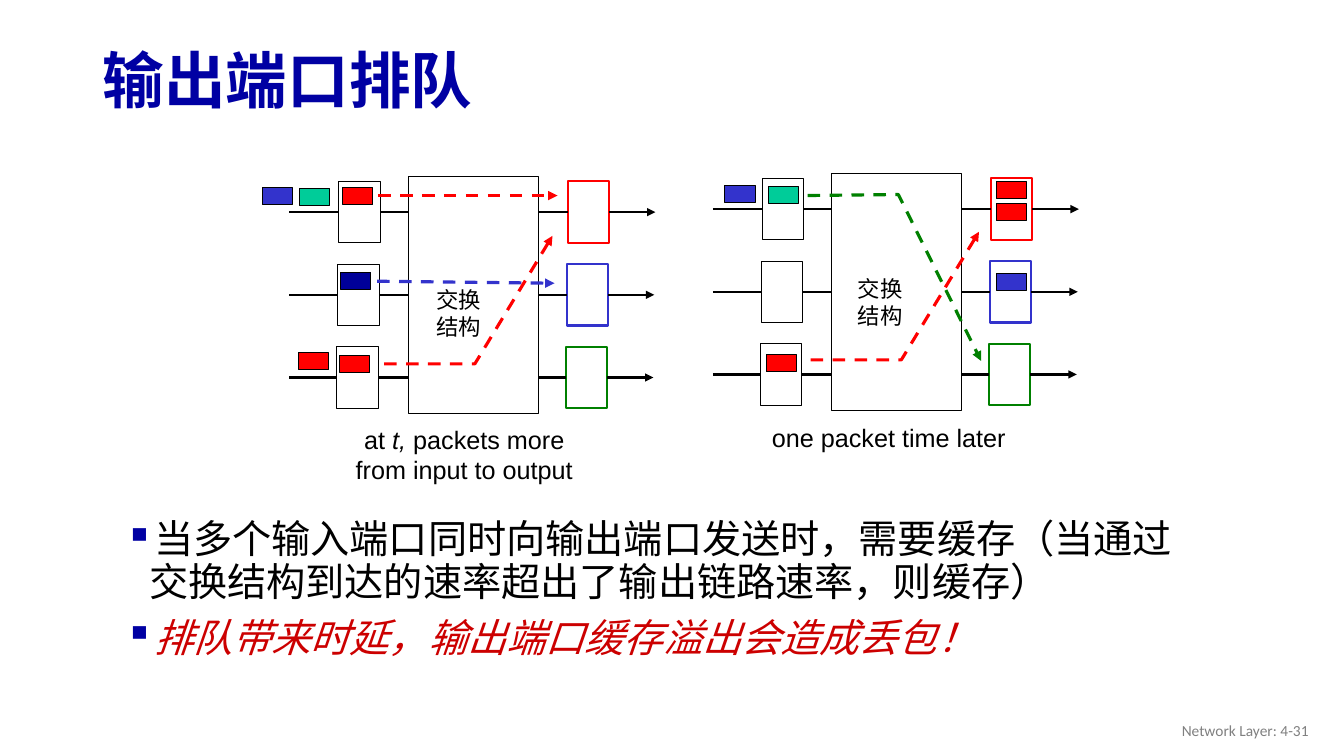
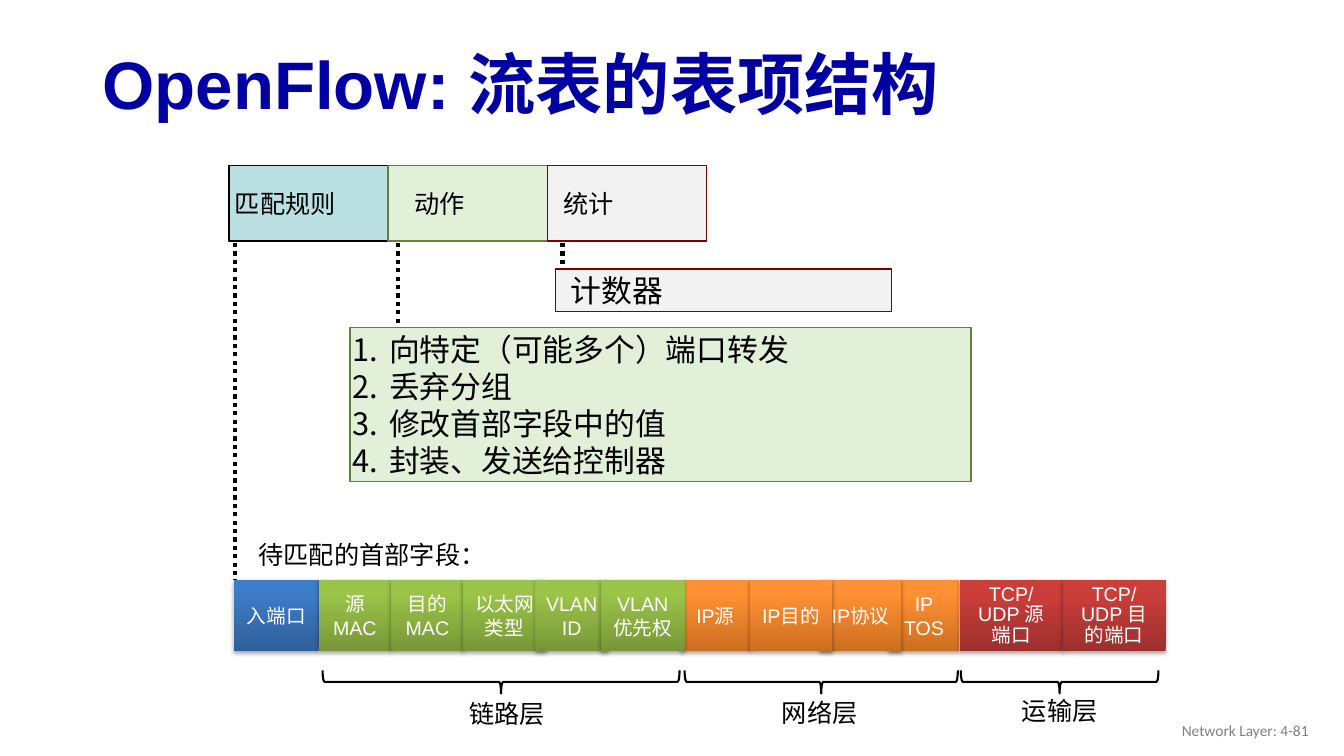
"""Build two lecture slides on output port queueing and OpenFlow entries."""
import lxml.etree
import pptx
import pptx.dml.color
import pptx.enum.dml
import pptx.enum.shapes
import pptx.enum.text
import pptx.oxml.ns
import pptx.util

Inches = pptx.util.Inches
Pt = pptx.util.Pt
SHAPE = pptx.enum.shapes.MSO_SHAPE
ALIGN = pptx.enum.text.PP_ALIGN
ANCHOR = pptx.enum.text.MSO_ANCHOR
DASH = pptx.enum.dml.MSO_LINE

COLORS = {
    "title": "0000A3", "text": "000000", "white": "FFFFFF", "footer": "808080",
    "alert": "CC0000", "red": "FF0000", "blue": "3333CC", "navy": "000099",
    "green": "008000", "teal": "00CC99", "match": "BBE0E3", "action": "E2F0D9",
    "action_line": "697D3A", "stats": "F2F2F2", "stats_line": "800000",
}
GRADIENTS = {
    "port": ("2F5F99", "3D7CC7"), "link": ("779737", "9BC348"),
    "network": ("CC6E20", "FF9034"), "transport": ("9C2F2D", "CB3E3A"),
}


def rgb(name):
    return pptx.dml.color.RGBColor.from_string(COLORS[name])


def add_element(parent, tag, **attributes):
    return lxml.etree.SubElement(parent, pptx.oxml.ns.qn(tag), attributes)


class Deck:
    def __init__(self):
        self.presentation = pptx.Presentation()
        self.presentation.slide_width = Inches(13.33)
        self.presentation.slide_height = Inches(7.5)
        self.slide = None

    def start_slide(self, title, title_size, title_top, number):
        layout = self.presentation.slide_layouts[6]
        self.slide = self.presentation.slides.add_slide(layout)
        self.text(0.92, title_top, 11.5, 0.98, [title], title_size, color="title",
                  bold=True, anchor=ANCHOR.MIDDLE, line_spacing=0.9)
        self.text(10.08, 7.05, 3, 0.4, [f"Network Layer: {number}"], 11,
                  color="footer", font="Calibri", align=ALIGN.RIGHT, anchor=ANCHOR.MIDDLE)

    def set_text(self, shape, paragraphs, size, color="text", font="Arial", bold=False,
                 align=ALIGN.LEFT, anchor=ANCHOR.TOP, wrap=True, margins=None,
                 line_spacing=None, space_before=0, bullet=None, hanging=0):
        frame = shape.text_frame
        frame.word_wrap = wrap
        frame.vertical_anchor = anchor
        if margins:
            (frame.margin_left, frame.margin_top, frame.margin_right,
             frame.margin_bottom) = [Inches(margin) for margin in margins]
        for index, runs in enumerate(paragraphs):
            paragraph = frame.add_paragraph() if index else frame.paragraphs[0]
            paragraph.alignment = align
            if bullet:
                self.bullet(paragraph, bullet, hanging)
            if line_spacing:
                paragraph.line_spacing = line_spacing
            if index and space_before:
                paragraph.space_before = Pt(space_before)
            for content, style in [(runs, {})] if isinstance(runs, str) else runs:
                run = paragraph.add_run()
                run.text = content
                run.font.name = font
                run.font.size = Pt(size)
                run.font.bold = bold
                run.font.italic = style.get("italic", False)
                run.font.color.rgb = rgb(style.get("color", color))

    def bullet(self, paragraph, bullet, hanging):
        properties = paragraph._p.get_or_add_pPr()
        properties.set("marL", str(Inches(0.39)))
        properties.set("indent", str(-Inches(hanging)))
        if bullet == "number":
            add_element(properties, "a:buAutoNum", type="arabicPeriod")
        else:
            color = add_element(properties, "a:buClr")
            add_element(color, "a:srgbClr", val=COLORS["title"])
            add_element(properties, "a:buChar", char=bullet)

    def text(self, left, top, width, height, paragraphs, size, **style):
        shape = self.slide.shapes.add_textbox(
            Inches(left), Inches(top), Inches(width), Inches(height))
        self.set_text(shape, paragraphs, size, **style)

    def shape(self, kind, left, top, width, height):
        shape = self.slide.shapes.add_shape(
            kind, Inches(left), Inches(top), Inches(width), Inches(height))
        shape.shadow.inherit = False
        return shape

    def box(self, left, top, width, height, fill="white", line="text", weight=0.75):
        shape = self.shape(SHAPE.RECTANGLE, left, top, width, height)
        shape.fill.solid()
        shape.fill.fore_color.rgb = rgb(fill)
        shape.line.color.rgb = rgb(line)
        shape.line.width = Pt(weight)
        return shape

    def packet(self, left, top, color):
        self.box(left, top, 0.3, 0.17, color)

    def stroke(self, shape, color, weight, dash, arrow):
        shape.line.color.rgb = rgb(color)
        shape.line.width = Pt(weight)
        if dash:
            shape.line.dash_style = dash
        if arrow:
            add_element(shape.line._get_or_add_ln(), "a:tailEnd", type="triangle")

    def line(self, start, end, color="text", weight=1.5, dash=None, arrow=False,
             source=None, target=None):
        connector = self.slide.shapes.add_connector(
            pptx.enum.shapes.MSO_CONNECTOR.STRAIGHT,
            *[Inches(value) for value in (*start, *end)])
        if source:
            connector.begin_connect(source, 3)
        if target:
            connector.end_connect(target, 1)
        self.stroke(connector, color, weight, dash, arrow)
        add_element(connector._element.spPr, "a:effectLst")

    def route(self, points, color):
        corners = [(Inches(x), Inches(y)) for x, y in points]
        builder = self.slide.shapes.build_freeform(*corners[0])
        builder.add_line_segments(corners[1:], close=False)
        shape = builder.convert_to_shape()
        shape.shadow.inherit = False
        shape.fill.background()
        self.stroke(shape, color, 2.25, DASH.DASH, True)

    def switch(self, left, top):
        fabric = self.box(left, top, 1.29, 2.35)
        for row, color in enumerate(("red", "blue", "green")):
            box_top = top + 0.05 + 0.82 * row
            middle = box_top + 0.305
            shift = 0.01 * row
            source = self.box(left - 0.69 - shift, box_top, 0.41, 0.61)
            output = self.box(left + 1.58 - shift, box_top, 0.41, 0.61, "white", color, 1.5)
            center = row == 1
            self.line((left - 1.18, middle), (left - 0.69, middle), target=source)
            self.line((left - 0.28, middle), (left, middle), source=source,
                      target=fabric if center else None)
            self.line((left + 1.29, middle), (left + 1.58, middle),
                      source=fabric if center else None, target=output)
            self.line((left + 1.99, middle), (left + 2.45 - shift, middle),
                      arrow=True, source=output)

    def field(self, left, width, layer, lines):
        shape = self.shape(SHAPE.RECTANGLE, left, 5.75, width, 0.71)
        shape.fill.gradient()
        shape.fill.gradient_angle = 90
        for stop, color, position in zip(shape.fill.gradient_stops, GRADIENTS[layer], (0, 0.8)):
            stop.color.rgb = pptx.dml.color.RGBColor.from_string(color)
            stop.position = position
        shape.line.fill.background()
        effects = shape._element.spPr.find(pptx.oxml.ns.qn("a:effectLst"))
        shadow = add_element(effects, "a:outerShdw", blurRad=str(Pt(3.1)),
                             dist=str(Pt(1.8)), dir="5400000", rotWithShape="0")
        color = add_element(shadow, "a:srgbClr", val=COLORS["text"])
        add_element(color, "a:alpha", val="35000")
        self.set_text(shape, lines, 14, color="white", align=ALIGN.CENTER,
                      anchor=ANCHOR.MIDDLE,
                      line_spacing=Pt(14.8) if layer == "transport" else None)

    def layer_brace(self, left, right, label, label_center, label_top):
        center, span = (left + right) / 2, right - left
        shape = self.shape(SHAPE.LEFT_BRACE, center - 0.115, 6.765 - span / 2, 0.23, span)
        shape.rotation = 270
        shape.fill.background()
        self.stroke(shape, "text", 1.5, None, False)
        self.text(label_center - 0.6, label_top, 1.2, 0.4, [label], 18, align=ALIGN.CENTER)


def build_queueing(deck):
    deck.start_slide("输出端口排队", 44, 0.34, "4-31")
    for left, top in ((4.05, 1.75), (8.25, 1.72)):
        deck.switch(left, top)
    for left, top, color in (
            (2.6, 1.86, "blue"), (2.97, 1.87, "teal"), (3.4, 1.86, "red"),
            (3.38, 2.7, "navy"), (2.96, 3.5, "red"), (3.37, 3.53, "red"),
            (7.19, 1.84, "blue"), (7.62, 1.85, "teal"), (7.6, 3.52, "red"),
            (9.88, 1.8, "red"), (9.88, 2.02, "red"), (9.88, 2.71, "blue")):
        deck.packet(left, top, color)
    for left, top in ((4.23, 2.79), (8.41, 2.68)):
        deck.text(left, top, 0.65, 0.64, ["交换", "结构"], 16, wrap=False)
    deck.line((3.75, 1.94), (5.53, 1.94), "red", 2.25, DASH.DASH, True)
    deck.line((3.74, 2.79), (5.5, 2.81), "blue", 2.25, DASH.DASH, True)
    for left, top in ((3.81, 2.34), (8.04, 2.3)):
        deck.route([(left, top + 1.27), (left + 0.9, top + 1.27), (left + 1.67, top)], "red")
    deck.route([(8.01, 1.94), (8.91, 1.93), (9.73, 3.58)], "green")
    deck.text(3.26, 4.16, 2.69, 0.7,
              [[("at ", {}), ("t,", {"italic": True}), (" packets more", {})],
               "from input to output"], 18, align=ALIGN.CENTER)
    deck.text(7.47, 4.14, 2.69, 0.4, ["one packet time later"], 18, align=ALIGN.CENTER)
    deck.text(0.99, 5.11, 11, 1.92, [
        "当多个输入端口同时向输出端口发送时，需要缓存（当通过交换结构到达的速率超出了输出链路速率，则缓存）",
        [("排队带来时延，输出端口缓存溢出会造成丢包！", {"color": "alert", "italic": True})],
    ], 28, line_spacing=0.9, space_before=10, bullet="▪", hanging=0.24)


def build_flow_entry(deck):
    deck.start_slide("OpenFlow: 流表的表项结构", 48, 0.38, "4-81")
    entries = (("匹配规则", "match", "text", 0.06), ("动作", "action", "action_line", 0.26),
               ("统计", "stats", "stats_line", 0.16))
    for column, (label, fill, line, inset) in enumerate(entries):
        shape = deck.box(2.27 + 1.58 * column, 1.64, 1.58, 0.75, fill, line, 1)
        deck.set_text(shape, [label], 18, anchor=ANCHOR.MIDDLE, margins=(inset, 0, 0, 0))
    actions = deck.box(3.47, 3.25, 6.16, 1.53, "action", "action_line", 1)
    deck.set_text(actions, ["向特定（可能多个）端口转发", "丢弃分组", "修改首部字段中的值",
                            "封装、发送给控制器"], 22, anchor=ANCHOR.MIDDLE,
                  margins=(0, 0, 0, 0), bullet="number", hanging=0.36)
    counter = deck.box(5.51, 2.67, 3.33, 0.42, "stats", "stats_line", 1)
    deck.set_text(counter, ["计数器"], 22, anchor=ANCHOR.MIDDLE, margins=(0.15, 0, 0, 0))
    for left, bottom in ((2.33, 5.75), (3.95, 3.24), (5.58, 2.66)):
        deck.line((left, 2.41), (left, bottom), weight=3, dash=DASH.ROUND_DOT)
    deck.text(2.36, 5.3, 2.66, 0.4, ["待匹配的首部字段："], 18, align=ALIGN.CENTER)
    for left, width, layer, lines in (
            (2.32, 0.84, "port", ["入端口"]),
            (3.16, 0.72, "link", ["源MAC"]),
            (3.88, 0.72, "link", ["目的MAC"]),
            (4.59, 0.83, "link", ["以太网类型"]),
            (5.31, 0.72, "link", ["VLAN", "ID"]),
            (8.82, 0.69, "network", ["IP", "TOS"]),
            (8.13, 0.81, "network", ["IP协议"]),
            (6.75, 0.69, "network", ["IP源"]),
            (7.44, 0.81, "network", ["IP目的"]),
            (5.96, 0.83, "link", ["VLAN", "优先权"]),
            (9.52, 1.02, "transport", ["TCP/UDP 源端口"]),
            (10.54, 1.02, "transport", ["TCP/UDP 目的端口"])):
        deck.field(left, width, layer, lines)
    deck.layer_brace(3.2, 6.74, "链路层", 5.03, 6.88)
    deck.layer_brace(6.79, 9.5, "网络层", 8.13, 6.87)
    deck.layer_brace(9.53, 11.49, "运输层", 10.51, 6.85)


def main():
    deck = Deck()
    build_queueing(deck)
    build_flow_entry(deck)
    deck.presentation.save("out.pptx")


if __name__ == "__main__":
    main()
